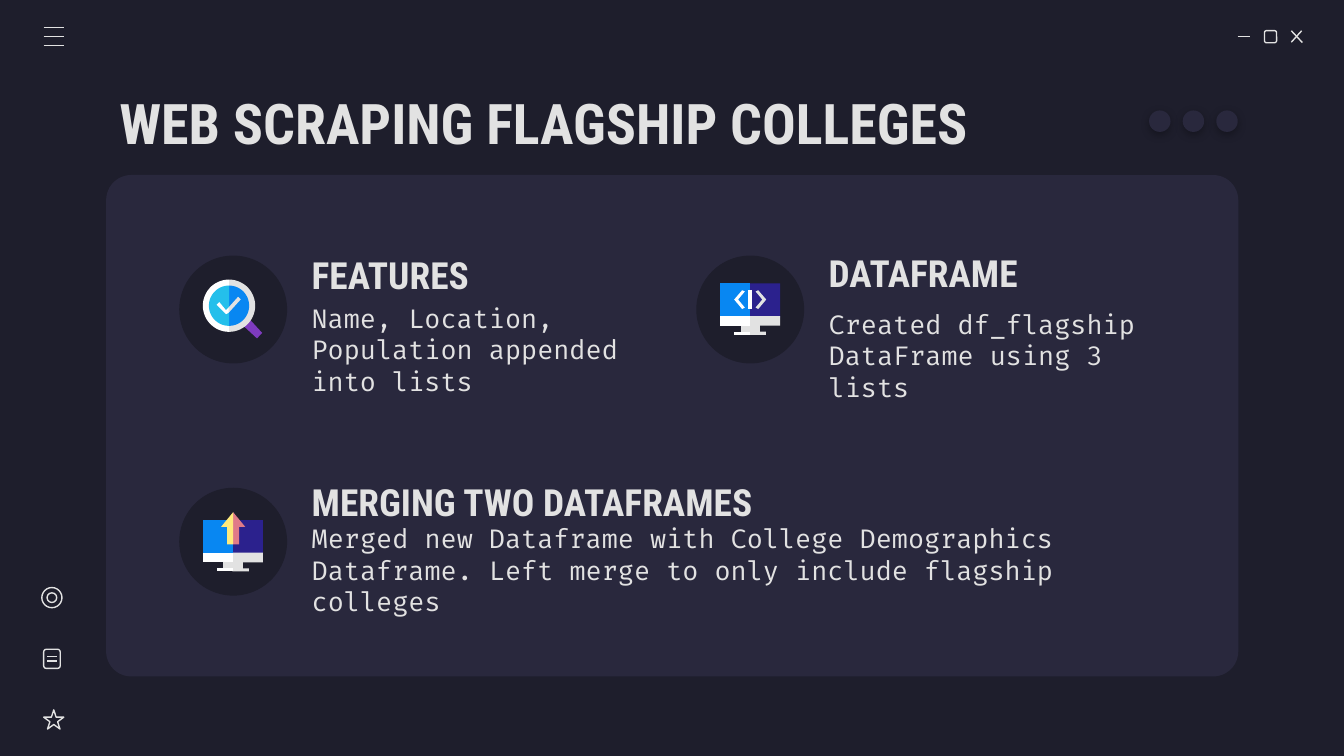
import math

import pptx
import pptx.dml.color
import pptx.enum.shapes
import pptx.enum.text
import pptx.oxml
import pptx.oxml.ns
import pptx.util

Pt = pptx.util.Pt
KIND = pptx.enum.shapes.MSO_SHAPE

COLORS = {
    "night": "1E1E2C", "panel": "29283D", "pale": "E2E2E2", "white": "FFFFFF",
    "navy": "2B218D", "blue": "0887F2", "sky": "24BFEB", "plum": "7E3BBE",
    "rose": "E07A88", "lemon": "FFEA7D",
}
HEAD, BODY = "Roboto Condensed", "Fira Code"
NS = 'xmlns:a="http://schemas.openxmlformats.org/drawingml/2006/main"'
GLOW = (f'<a:outerShdw {NS} blurRad="{Pt(4.5)}" dist="{Pt(1.5)}" dir="5400000" '
        'algn="bl" rotWithShape="0"><a:srgbClr val="000000">'
        '<a:alpha val="30000"/></a:srgbClr></a:outerShdw>')
RADIUS = 28.9

# Icon points are offsets from the badge centre.
CHECK_LEFT = [(-7.4, -4), (-8.8, -2.5), (-3.8, 2.5), (-2.4, 1.8), (-2.4, -1.1), (-3.8, 0.4)]
CHECK_RIGHT = [(2.7, -6.8), (-2.4, -1.1), (-3.1, 0.4), (-2.4, 1.8), (4.1, -5.4)]
HANDLE = [(7, 3.2), (3.4, 6.8), (12.8, 15.5), (15.6, 12.6)]
CHEVRON = [(-4.3, -10.3), (-8.6, -5.3), (-4.3, -0.2), (-2.9, -1), (-6.5, -5.3), (-2.9, -9.6)]
BAR = [(-1, -10.3), (-1, -0.2), (1, -0.2), (1, -10.3)]
ARROW = [(0, -15.8), (-6.5, -7.9), (-3.2, -7.9), (-3.2, 1.4), (0, 1.4)]


def color(name):
    return pptx.dml.color.RGBColor.from_string(COLORS[name])


def solid(shape, fill):
    shape.shadow.inherit = False
    shape.fill.solid()
    shape.fill.fore_color.rgb = color(fill)
    shape.line.fill.background()


def block(slide, kind, x, y, w, h, fill):
    shape = slide.shapes.add_shape(kind, Pt(x), Pt(y), Pt(w), Pt(h))
    solid(shape, fill)
    return shape


def outline(slide, kind, x, y, w, h):
    shape = slide.shapes.add_shape(kind, Pt(x), Pt(y), Pt(w), Pt(h))
    shape.shadow.inherit = False
    shape.fill.background()
    shape.line.color.rgb = color("pale")
    shape.line.width = Pt(0.75)


def stroke(slide, x1, y1, x2, y2):
    line = slide.shapes.add_connector(
        pptx.enum.shapes.MSO_CONNECTOR.STRAIGHT, Pt(x1), Pt(y1), Pt(x2), Pt(y2))
    line.line.color.rgb = color("pale")
    line.line.width = Pt(0.75)
    line._element.spPr.append(pptx.oxml.parse_xml(f"<a:effectLst {NS}/>"))


def poly(slide, mid, points, fill):
    """Filled outline whose points are offsets from mid."""
    spots = [(Pt(mid[0] + x), Pt(mid[1] + y)) for x, y in points]
    pen = slide.shapes.build_freeform(*spots[0], scale=1.0)
    pen.add_line_segments(spots[1:], close=True)
    solid(pen.convert_to_shape(), fill)


def mirror(points):
    return [(-x, y) for x, y in points]


def text(slide, x, y, w, h, words, size, font):
    box = slide.shapes.add_textbox(Pt(x), Pt(y), Pt(w), Pt(h))
    frame = box.text_frame
    frame.word_wrap = True
    frame.vertical_anchor = pptx.enum.text.MSO_ANCHOR.MIDDLE
    frame.margin_left = frame.margin_right = Pt(7.2)
    frame.margin_top = frame.margin_bottom = Pt(7.2)
    frame.text = words
    style = frame.paragraphs[0].runs[0].font
    style.name = font
    style.size = Pt(size)
    style.bold = font == HEAD
    style.color.rgb = color("pale")


def badge(slide, mid):
    block(slide, KIND.OVAL, mid[0] - RADIUS, mid[1] - RADIUS,
          2 * RADIUS, 2 * RADIUS, "night")


def screen(slide, mid):
    """Monitor in two halves; the right ones tuck under the left ones."""
    parts = [(-14, 4.5, 16, "blue", "navy"), (8, 12.6, 5.2, "pale", "pale"),
             (11.9, 13.6, 8.4, "white", "pale"), (3.5, 8.7, 16, "white", "pale")]
    for top, base, w, left, right in parts:
        half = [(0, top), (w, top), (w, base), (0, base)]
        poly(slide, mid, half + [(-1.5, (top + base) / 2)], right)
        poly(slide, mid, mirror(half), left)


def lens(slide, mid):
    poly(slide, mid, HANDLE, "plum")
    for size, left, right in ((14, "white", "pale"), (10.8, "sky", "blue")):
        turns = [math.radians(a) for a in range(-90, 91, 6)]
        half = [(size * math.cos(t), size * math.sin(t)) for t in turns]
        eye = (mid[0] - 2.2, mid[1] - 2)
        poly(slide, eye, half + [(-1.5, 0)], right)
        poly(slide, eye, mirror(half), left)
    poly(slide, mid, CHECK_RIGHT, "pale")
    poly(slide, mid, CHECK_LEFT, "white")


def code(slide, mid):
    screen(slide, mid)
    poly(slide, mid, CHEVRON, "white")
    poly(slide, mid, mirror(CHEVRON), "pale")
    poly(slide, mid, BAR, "white")


def upload(slide, mid):
    screen(slide, (mid[0], mid[1] + 2.4))
    poly(slide, mid, mirror(ARROW), "rose")
    poly(slide, mid, ARROW, "lemon")


def window(slide):
    """Menu, window buttons and side icons around the panel."""
    panel = block(slide, KIND.ROUNDED_RECTANGLE, 56.9, 93.8, 606.5, 268.6, "panel")
    panel.adjustments[0] = 0.05
    stroke(slide, 663, 19.6, 669.8, 19.6)
    outline(slide, KIND.ROUNDED_RECTANGLE, 677.4, 16.4, 6.5, 6.5)
    stroke(slide, 691.8, 16.5, 697.7, 22.8)
    stroke(slide, 697.3, 16.5, 691.8, 22.6)
    for row in range(3):
        y = 14.8 + 4.75 * row
        stroke(slide, 23.4, y, 34.2, y)
    outline(slide, KIND.STAR_5_POINT, 23.4, 380.3, 10.8, 10.3)
    outline(slide, KIND.ROUNDED_RECTANGLE, 23.4, 347.8, 8.9, 10.3)
    for y in (351.7, 354.2):
        stroke(slide, 25.2, y, 30.4, y)
    outline(slide, KIND.OVAL, 22.4, 314.8, 10.8, 10.8)
    outline(slide, KIND.OVAL, 25.2, 317.6, 5.2, 5.2)
    for col in range(3):
        dot = block(slide, KIND.OVAL, 615.6 + 18 * col, 59.2, 11.5, 11.5, "panel")
        glow = dot._element.spPr.find(pptx.oxml.ns.qn("a:effectLst"))
        glow.append(pptx.oxml.parse_xml(GLOW))


def main():
    deck = pptx.Presentation()
    deck.slide_width, deck.slide_height = Pt(720), Pt(405)
    slide = deck.slides.add_slide(deck.slide_layouts[6])
    slide.background.fill.solid()
    slide.background.fill.fore_color.rgb = color("night")
    window(slide)
    text(slide, 56.9, 42.5, 606.5, 45.4, "WEB SCRAPING FLAGSHIP COLLEGES", 30, HEAD)
    # Icon, badge centre, heading (top, width, words), body (top, width, height, words)
    topics = [
        (lens, (124.9, 165.8), (131.8, 220.3, "FEATURES"),
         (167, 196.6, 40.3, "Name, Location, Population appended into lists")),
        (code, (401.9, 165.8), (130.3, 196.6, "DATAFRAME"),
         (161.3, 196.6, 58.3, "Created df_flagship DataFrame using 3 lists")),
        (upload, (124.9, 290.2), (253.4, 320.4, "MERGING TWO DATAFRAMES"),
         (274.3, 473.8, 61.9, "Merged new Dataframe with College Demographics "
          "Dataframe. Left merge to only include flagship colleges")),
    ]
    for icon, mid, (top, wide, head), (low, span, high, body) in topics:
        left = mid[0] + 35
        badge(slide, mid)
        icon(slide, mid)
        text(slide, left, top, wide, 31, head, 20, HEAD)
        text(slide, left, low, span, high, body, 14, BODY)
    deck.save("out.pptx")


if __name__ == "__main__":
    main()
